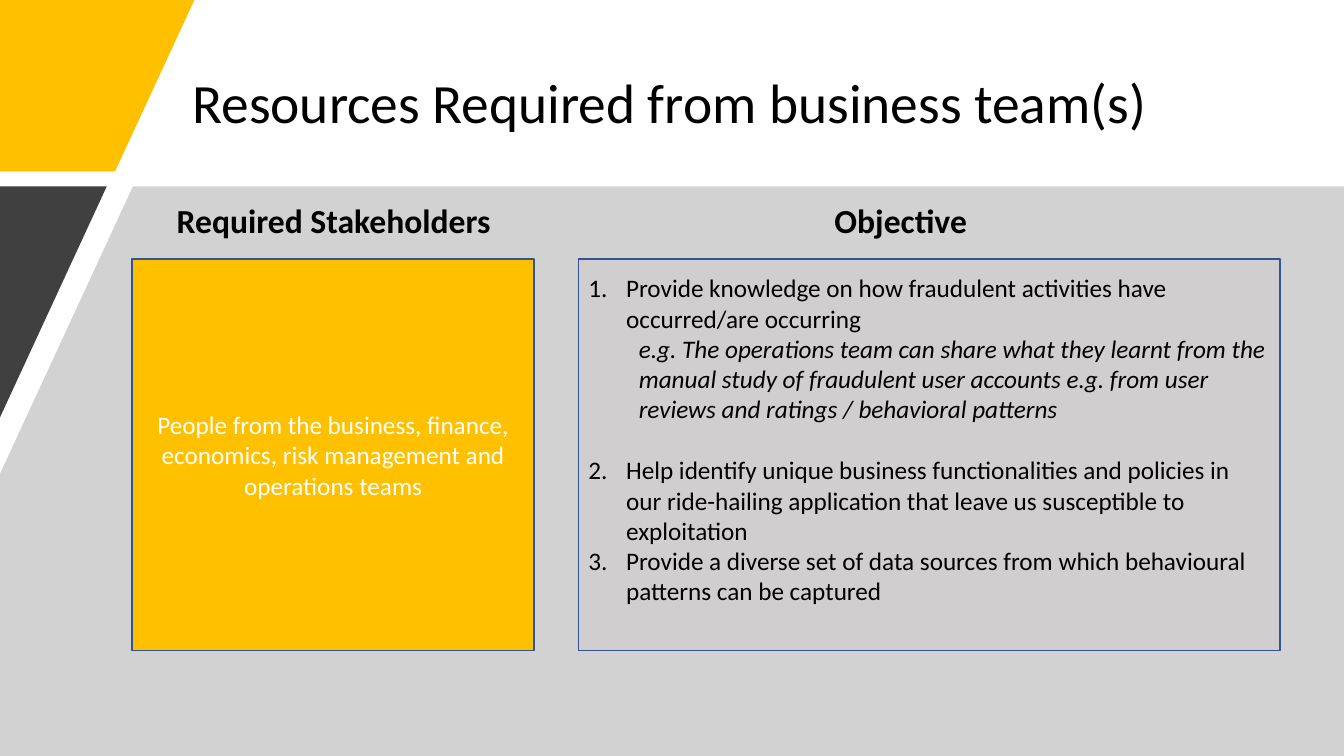
from pptx import Presentation
from pptx.dml.color import RGBColor
from pptx.enum.shapes import MSO_SHAPE
from pptx.enum.text import MSO_ANCHOR, PP_ALIGN
from pptx.util import Cm, Pt
from lxml import etree
from pptx.oxml.ns import qn

RECTANGLE = MSO_SHAPE.RECTANGLE
TOP, MIDDLE = MSO_ANCHOR.TOP, MSO_ANCHOR.MIDDLE
LEFT, CENTER = PP_ALIGN.LEFT, PP_ALIGN.CENTER

FONT = "Calibri"
COLORS = {
    "amber": "FFC000",
    "charcoal": "404040",
    "panel": "A6A6A6",
    "card": "D0CECE",
    "border": "325491",
    "black": "000000",
    "white": "FFFFFF",
}
SLIDE_WIDTH, SLIDE_HEIGHT = 33.87, 19.05
BAND_TOP = 4.7
CARD_TOP, CARD_HEIGHT = 6.53, 9.86

# Each objective is a numbered point with an optional example
OBJECTIVES = [
    ("Provide knowledge on how fraudulent activities have occurred/are occurring",
     "e.g. The operations team can share what they learnt from the manual study of "
     "fraudulent user accounts e.g. from user reviews and ratings / behavioral patterns"),
    ("Help identify unique business functionalities and policies in our ride-hailing "
     "application that leave us susceptible to exploitation", None),
    ("Provide a diverse set of data sources from which behavioural patterns "
     "can be captured", None),
]


def rgb(name):
    """Return a named colour."""
    return RGBColor.from_string(COLORS[name])


def add_outline(slide, left, top, points, color, opacity=None):
    """Draw a filled polygon with points in cm from the given corner."""
    corners = [(Cm(left + x), Cm(top + y)) for x, y in points]
    builder = slide.shapes.build_freeform(*corners[0], scale=1.0)
    builder.add_line_segments(corners[1:], close=True)
    outline = builder.convert_to_shape()
    outline.shadow.inherit = False
    outline.fill.solid()
    outline.fill.fore_color.rgb = rgb(color)
    outline.line.fill.background()
    if opacity is not None:
        tint = outline.fill._xPr.find(".//" + qn("a:srgbClr"))
        etree.SubElement(tint, qn("a:alpha"), val=str(opacity * 1000))


def add_run(paragraph, text, size, color="black", bold=False, italic=False):
    """Append one styled run."""
    run = paragraph.add_run()
    run.text = text
    run.font.name = FONT
    run.font.size = Pt(size)
    run.font.bold = bold
    run.font.italic = italic
    run.font.color.rgb = rgb(color)


def add_label(slide, box, text, size, align=LEFT, anchor=TOP, bold=False):
    """Place a line of title or heading text in its box."""
    label = slide.shapes.add_textbox(*map(Cm, box)).text_frame
    label.word_wrap = True
    label.vertical_anchor = anchor
    paragraph = label.paragraphs[0]
    paragraph.alignment = align
    paragraph.line_spacing = 0.9
    add_run(paragraph, text, size, bold=bold)


def add_card(slide, box, color):
    """Draw a bordered card and return its text frame."""
    card = slide.shapes.add_shape(RECTANGLE, *map(Cm, box))
    card.shadow.inherit = False
    card.fill.solid()
    card.fill.fore_color.rgb = rgb(color)
    card.line.color.rgb = rgb("border")
    card.line.width = Pt(1)
    card.text_frame.word_wrap = True
    card.text_frame.vertical_anchor = MIDDLE
    return card.text_frame


def indent(paragraph, margin, first_line=0, numbered=False):
    """Set the indents in cm and, if asked, automatic numbering."""
    properties = paragraph._p.get_or_add_pPr()
    properties.set("marL", str(Cm(margin)))
    properties.set("indent", str(Cm(first_line)))
    if numbered:
        etree.SubElement(properties, qn("a:buFont"), typeface="+mj-lt")
        etree.SubElement(properties, qn("a:buAutoNum"), type="arabicPeriod")


def add_backdrop(slide, width, height):
    """Draw the amber corner, the grey panel and the dark wedge."""
    add_outline(slide, 0, 0, [(0, 0), (4.9, 0), (2.9, 4.32), (0, 4.32)], "amber")
    panel_height = height - BAND_TOP
    add_outline(slide, 0, BAND_TOP,
                [(3.35, 0), (width, 0), (width, panel_height), (0, panel_height), (0, 7.24)],
                "panel", opacity=50)
    add_outline(slide, 0, BAND_TOP, [(0, 0), (2.69, 0), (0, 5.82)], "charcoal")


def add_stakeholders(slide, box):
    """Fill the stakeholder card."""
    paragraph = add_card(slide, box, "amber").paragraphs[0]
    paragraph.alignment = CENTER
    add_run(paragraph, "People from the business, finance, economics, "
            "risk management and operations teams", 18, "white")


def add_objectives(slide, box):
    """Fill the objective card with numbered points and examples."""
    frame = add_card(slide, box, "card")
    frame.margin_bottom = Cm(0.9)
    for number, (objective, example) in enumerate(OBJECTIVES):
        point = frame.add_paragraph() if number else frame.paragraphs[0]
        point.alignment = LEFT
        indent(point, 0.95, -0.95, numbered=True)
        add_run(point, objective, 18)
        if example:
            detail = frame.add_paragraph()
            detail.level = 1
            detail.alignment = LEFT
            detail.space_after = Pt(22)
            indent(detail, 1.27)
            add_run(detail, example, 18, italic=True)


def build():
    """Build the resources slide and save it."""
    deck = Presentation()
    deck.slide_width, deck.slide_height = Cm(SLIDE_WIDTH), Cm(SLIDE_HEIGHT)
    slide = deck.slides.add_slide(deck.slide_layouts[6])
    add_backdrop(slide, SLIDE_WIDTH, SLIDE_HEIGHT)
    add_label(slide, (4.6, 1.02, 26, 3.3),
              "Resources Required from business team(s)", 39.6, anchor=MIDDLE)
    for left, heading in ((3.81, "Required Stakeholders"), (18.1, "Objective")):
        add_label(slide, (left, 5.04, 9.2, 1.47), heading, 24, CENTER, bold=True)
    add_stakeholders(slide, (3.33, CARD_TOP, 10.13, CARD_HEIGHT))
    add_objectives(slide, (14.58, CARD_TOP, 17.68, CARD_HEIGHT))
    deck.save("out.pptx")


build()
